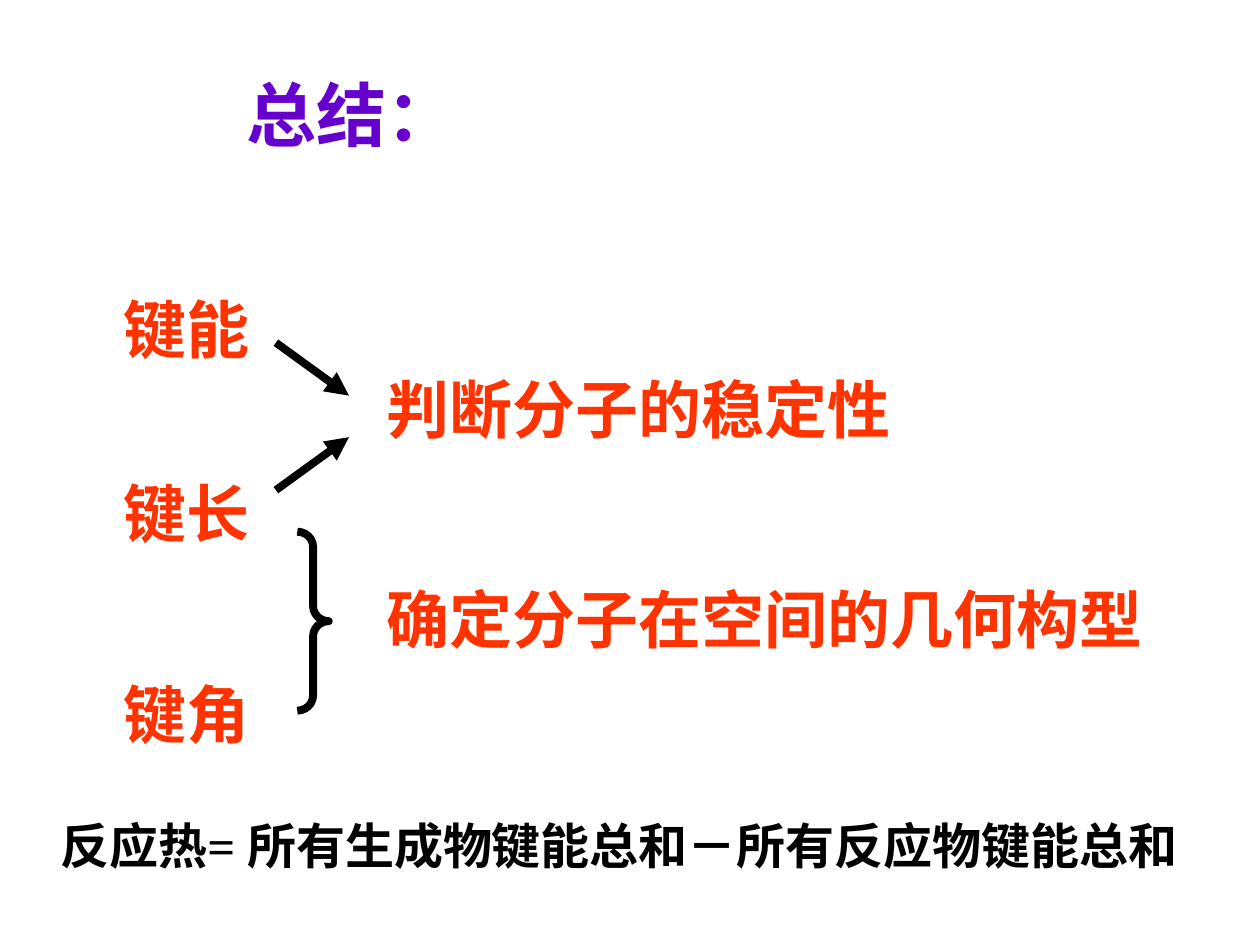
from lxml import etree
from pptx import Presentation
from pptx import util as u
from pptx.dml.color import RGBColor
from pptx.enum import shapes, text
from pptx.oxml.ns import qn

COLORS = {"title": "6600CC", "term": "FF3300", "ink": "000000"}
LATIN, ASIAN = "Times New Roman", "Noto Sans CJK SC"


def write(shape, content, size, color, latin=LATIN, left=0.21):
    frame = shape.text_frame
    frame.word_wrap = True
    frame.auto_size = text.MSO_AUTO_SIZE.NONE
    frame.vertical_anchor = text.MSO_ANCHOR.TOP
    frame.margin_left = u.Inches(left)
    run = frame.paragraphs[0].add_run()
    run.text = content
    run.font.size = u.Pt(size)
    run.font.bold = True
    run.font.name = latin
    run.font.color.rgb = RGBColor.from_string(COLORS[color])
    etree.SubElement(run.font._element, qn("a:ea"), typeface=ASIAN)


def style_line(shape):
    shape.line.color.rgb = RGBColor.from_string(COLORS["ink"])
    shape.line.width = u.Pt(4.5)


presentation = Presentation()
presentation.slide_width = u.Inches(10)
presentation.slide_height = u.Inches(7.5)
slide = presentation.slides.add_slide(presentation.slide_layouts[5])

# Title
title = slide.shapes.title
title.left, title.top = u.Inches(1.53), u.Inches(0.52)
title.width, title.height = u.Inches(2.52), u.Inches(1.42)
write(title, "总结：", 40, "title", ASIAN, 0.1)
title.text_frame.paragraphs[0].alignment = text.PP_ALIGN.CENTER

# Bond terms, what they decide, and the heat formula
for content, left, top, width, height, size, color in [
    ("键能", 0.77, 2.26, 1.42, 1.3, 36, "term"),
    ("键长", 0.77, 3.72, 1.42, 1.3, 36, "term"),
    ("键角", 0.77, 5.31, 1.42, 1.3, 36, "term"),
    ("判断分子的稳定性", 2.86, 2.89, 6.42, 0.7, 36, "term"),
    ("确定分子在空间的几何构型", 2.86, 4.56, 6.42, 1.3, 36, "term"),
    ("反应热= 所有生成物键能总和－所有反应物键能总和", 0.27, 6.42, 9.58, 0.64, 28, "ink"),
]:
    box = slide.shapes.add_textbox(
        u.Inches(left), u.Inches(top), u.Inches(width), u.Inches(height))
    write(box, content, size, color)

# Brace joining bond length and bond angle
brace = slide.shapes.add_shape(
    shapes.MSO_SHAPE.RIGHT_BRACE,
    u.Inches(2.36), u.Inches(4.22), u.Inches(0.25), u.Inches(1.42))
brace.adjustments[0] = 0.48
brace.shadow.inherit = False
brace.fill.background()
style_line(brace)

# Arrows from bond energy and bond length to stability
for start, end in [(2.72, 3.14), (3.89, 3.47)]:
    arrow = slide.shapes.add_connector(
        shapes.MSO_CONNECTOR.STRAIGHT,
        u.Inches(2.19), u.Inches(start), u.Inches(2.77), u.Inches(end))
    style_line(arrow)
    etree.SubElement(arrow.line._get_or_add_ln(), qn("a:tailEnd"), type="triangle")
    etree.SubElement(arrow._element.spPr, qn("a:effectLst"))

presentation.save("out.pptx")
